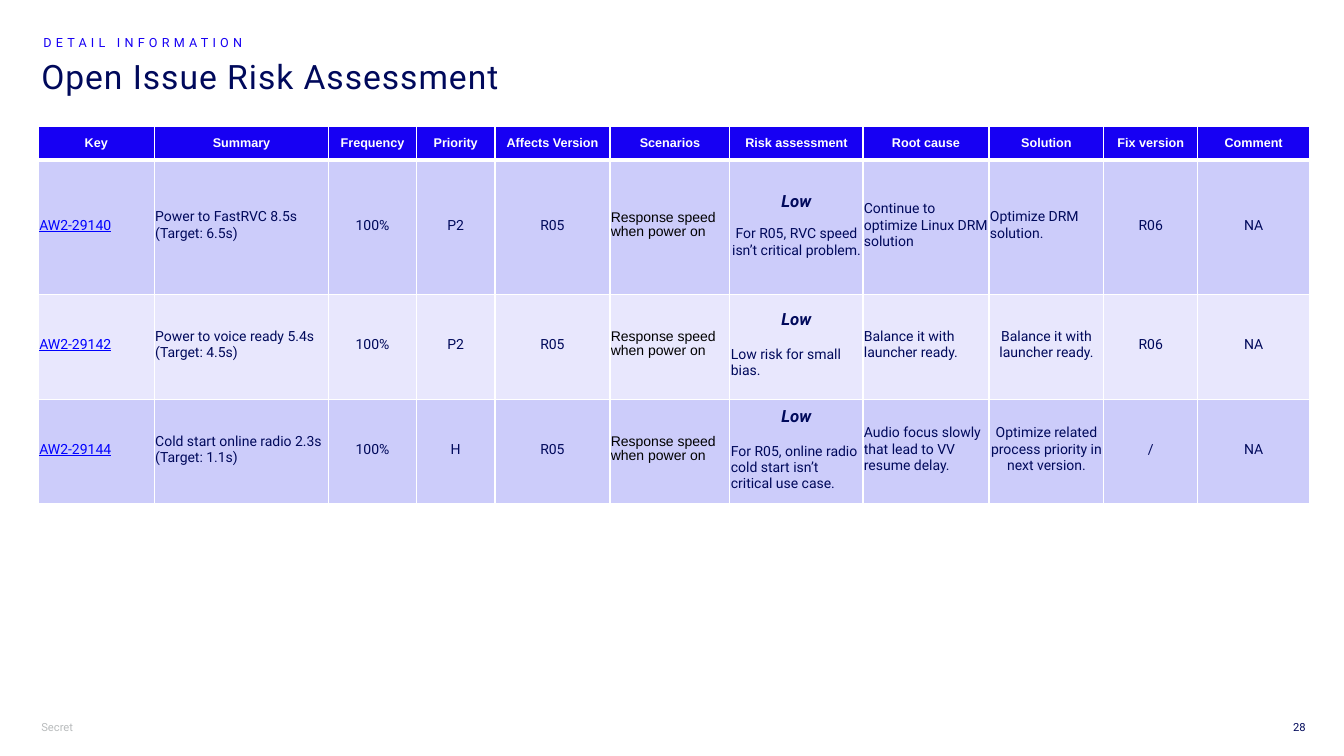
from dataclasses import dataclass

from lxml import etree
from pptx import Presentation
from pptx.dml.color import RGBColor
from pptx.enum.text import MSO_ANCHOR, PP_ALIGN
from pptx.oxml.ns import qn
from pptx.slide import Slide
from pptx.table import _Cell
from pptx.text.text import TextFrame
from pptx.util import Emu, Pt

PX = 9144
LEFT, CENTER, RIGHT = PP_ALIGN.LEFT, PP_ALIGN.CENTER, PP_ALIGN.RIGHT
MIDDLE = MSO_ANCHOR.MIDDLE
NAVY, BLUE, LINK, BLACK = "00095B", "1700F3", "0000FF", "000000"
WHITE, GREY = "FFFFFF", "B9BCBD"
BANDS = ("CCCCFA", "E8E7FD")


@dataclass(frozen=True)
class Line:
    text: str
    size: float = 10
    color: str = NAVY
    align: PP_ALIGN = LEFT
    font: str = "Roboto"
    bold: bool = False
    italic: bool = False
    underline: bool = False
    line_spacing: float = 1.0
    space_before: float = 0
    tracking: int = 0


@dataclass(frozen=True)
class Label:
    left: int
    top: int
    width: int
    height: int
    line: Line
    right_inset: int = 10
    wrap: bool = True


@dataclass(frozen=True)
class Issue:
    key: str
    summary: str
    priority: str
    risk: str
    cause: str
    solution: str
    fix_version: str
    risk_align: PP_ALIGN = LEFT
    risk_gap: float = 12
    solution_align: PP_ALIGN = CENTER


LABELS = (
    Label(41, 710, 43, 24, Line("Secret", 8, GREY), wrap=False),
    Label(41, 55, 1150, 75,
          Line("Open Issue Risk Assessment", 24, line_spacing=0.9, tracking=70)),
    Label(43, 31, 595, 22,
          Line("DETAIL INFORMATION", 9, BLUE, line_spacing=0.9, tracking=300)),
    Label(1260, 710, 35, 24, Line("28", 8, align=RIGHT), right_inset=0),
)
COLUMNS = {
    "Key": 115, "Summary": 173, "Frequency": 87, "Priority": 78,
    "Affects Version": 114, "Scenarios": 119, "Risk assessment": 132,
    "Root cause": 125, "Solution": 114, "Fix version": 93, "Comment": 111,
}
ROW_HEIGHTS = (34, 133, 104, 104)
ISSUES = (
    Issue("AW2-29140", "Power to FastRVC 8.5s (Target: 6.5s)", "P2",
          "For R05, RVC speed isn’t critical problem.",
          "Continue to optimize Linux DRM solution", "Optimize DRM solution.", "R06",
          risk_align=CENTER, risk_gap=10, solution_align=LEFT),
    Issue("AW2-29142", "Power to voice ready 5.4s (Target: 4.5s)", "P2",
          "Low risk for small bias.", "Balance it with launcher ready.",
          "Balance it with launcher ready.", "R06"),
    Issue("AW2-29144", "Cold start online radio 2.3s (Target: 1.1s)", "H",
          "For R05, online radio cold start isn’t critical use case.",
          "Audio focus slowly that lead to VV resume delay.",
          "Optimize related process priority in next version.", "/"),
)


def px(value: int) -> Emu:
    return Emu(value * PX)


def rgb(color: str) -> RGBColor:
    return RGBColor.from_string(color)


def write(frame: TextFrame, lines: list[Line]) -> None:
    for index, line in enumerate(lines):
        paragraph = frame.add_paragraph() if index else frame.paragraphs[0]
        run = paragraph.add_run()
        run.text = line.text
        if line.tracking:
            run._r.get_or_add_rPr().set("spc", str(line.tracking))
        paragraph.alignment = line.align
        paragraph.line_spacing = line.line_spacing
        paragraph.space_before = Pt(line.space_before)
        font = paragraph.font
        font.name, font.size = line.font, Pt(line.size)
        font.bold, font.italic, font.underline = line.bold, line.italic, line.underline
        font.color.rgb = rgb(line.color)


def draw_label(slide: Slide, label: Label) -> None:
    box = slide.shapes.add_textbox(
        px(label.left), px(label.top), px(label.width), px(label.height))
    frame = box.text_frame
    frame.word_wrap = label.wrap
    frame.margin_left, frame.margin_right = 0, px(label.right_inset)
    frame.margin_top = frame.margin_bottom = px(5)
    write(frame, [label.line])


def set_borders(cell: _Cell, top: int, bottom: int) -> None:
    properties = cell._tc.get_or_add_tcPr()
    widths = {"a:lnL": 1, "a:lnR": 1, "a:lnT": top, "a:lnB": bottom}
    for position, (tag, width) in enumerate(widths.items()):
        border = etree.Element(qn(tag), w=str(Pt(width)))
        fill = etree.SubElement(border, qn("a:solidFill"))
        etree.SubElement(fill, qn("a:srgbClr"), val=WHITE)
        properties.insert(position, border)


def header_cells() -> list[list[Line]]:
    return [[Line(name, 9, WHITE, CENTER, "Arial", bold=True)] for name in COLUMNS]


def issue_cells(issue: Issue) -> list[list[Line]]:
    return [
        [Line(issue.key, color=LINK, underline=True)],
        [Line(issue.summary)],
        [Line("100%", align=CENTER)],
        [Line(issue.priority, align=CENTER)],
        [Line("R05", align=CENTER)],
        [Line("Response speed when power on", color=BLACK, font="Arial",
              line_spacing=0.9)],
        [Line("Low", 12, align=CENTER, bold=True, italic=True),
         Line(issue.risk, align=issue.risk_align, space_before=issue.risk_gap)],
        [Line(issue.cause)],
        [Line(issue.solution, align=issue.solution_align)],
        [Line(issue.fix_version, align=CENTER)],
        [Line("NA", align=CENTER)],
    ]


def draw_table(slide: Slide) -> None:
    rows = [header_cells()] + [issue_cells(issue) for issue in ISSUES]
    table = slide.shapes.add_table(
        len(rows), len(COLUMNS), px(38), px(125),
        px(sum(COLUMNS.values())), px(sum(ROW_HEIGHTS))).table
    table.horz_banding = False
    for column, width in zip(table.columns, COLUMNS.values()):
        column.width = px(width)
    for row_index, row in enumerate(rows):
        table.rows[row_index].height = px(ROW_HEIGHTS[row_index])
        is_header = row_index == 0
        for column_index, lines in enumerate(row):
            cell = table.cell(row_index, column_index)
            cell.vertical_anchor = MIDDLE
            cell.margin_left = cell.margin_right = px(10 if is_header else 1)
            cell.margin_top, cell.margin_bottom = px(5 if is_header else 1), px(5)
            cell.fill.solid()
            cell.fill.fore_color.rgb = rgb(
                BLUE if is_header else BANDS[(row_index - 1) % 2])
            set_borders(cell, 3 if row_index == 1 else 1, 3 if is_header else 1)
            write(cell.text_frame, lines)


def main() -> None:
    presentation = Presentation()
    presentation.slide_width, presentation.slide_height = px(1333), px(750)
    slide = presentation.slides.add_slide(presentation.slide_layouts[6])
    for label in LABELS:
        draw_label(slide, label)
    draw_table(slide)
    presentation.save("out.pptx")


if __name__ == "__main__":
    main()
